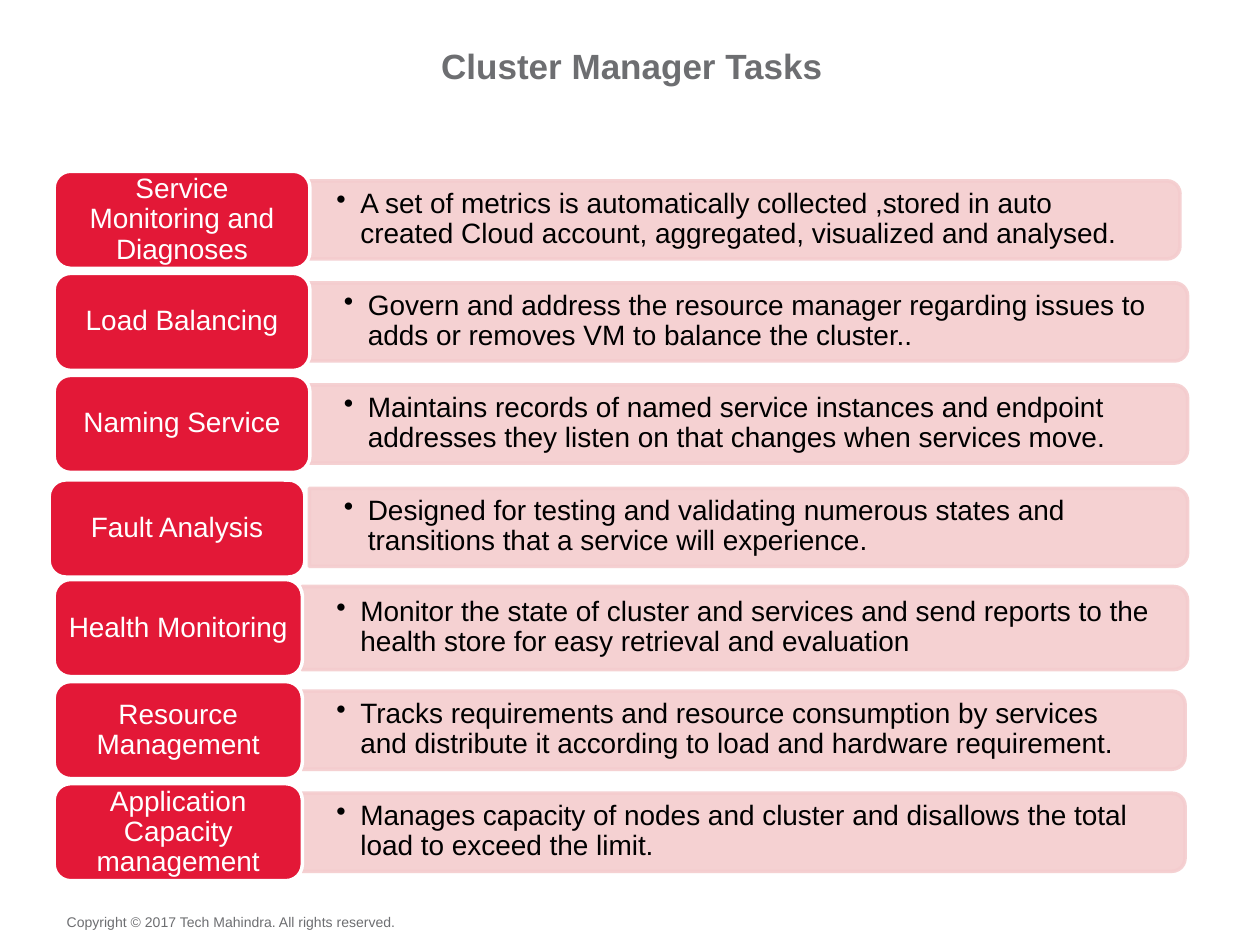
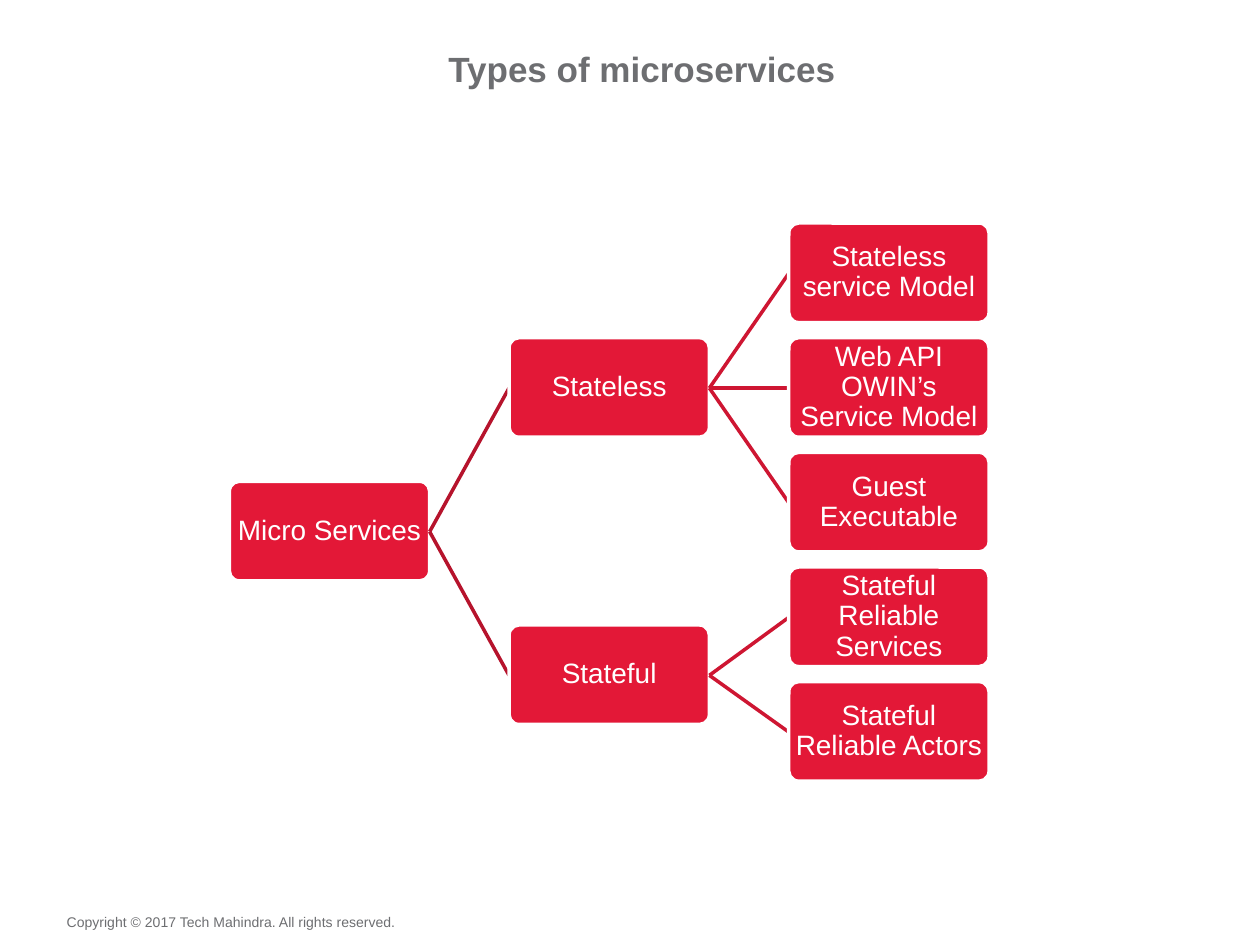
from dataclasses import dataclass

from lxml.etree import SubElement
from pptx import Presentation
from pptx.dml.color import RGBColor
from pptx.enum.shapes import MSO_CONNECTOR as CONN, MSO_SHAPE as SHAPE
from pptx.enum.text import MSO_ANCHOR as ANCHOR, MSO_AUTO_SIZE as AUTO, PP_ALIGN as ALIGN
from pptx.oxml.ns import qn
from pptx.util import Pt

PX = 9144


@dataclass(frozen=True)
class Theme:
    font: str = "Arial"
    grey: str = "6D6E71"
    red: str = "E31837"
    pink: str = "F4CCCE"
    white: str = "FFFFFF"
    black: str = "000000"
    links: tuple = ("B6132C", "CE1632")
    title: int = 20
    body: int = 16
    small: int = 8
    line: int = 2
    opacity: int = 90


class Deck:
    """Draws styled elements on the current slide, with lengths in px at 100 to the inch."""

    def __init__(self, theme):
        self.theme = theme
        self.prs = Presentation()
        self.prs.slide_width, self.prs.slide_height = 1000 * PX, 750 * PX

    def new_slide(self, title, x, y):
        self.slide = self.prs.slides.add_slide(self.prs.slide_layouts[5])
        t = self.theme
        self.text_box(53, 725, 266, 13, "Copyright © 2017 Tech Mahindra. All rights reserved.",
                      t.small, t.grey, wrap=False)
        s = self.slide.shapes.title
        s.left, s.top, s.width, s.height = (v * PX for v in (x, y, 899, 34))
        self.set_text(s, title, t.title, t.grey, align=ALIGN.CENTER, bold=True)

    def set_text(self, s, text, size, color, pad=(0, 0), align=ALIGN.LEFT,
                 anchor=ANCHOR.TOP, wrap=True, bold=False, spacing=1.0, bullet=False):
        tf = s.text_frame
        tf.text = text
        tf.word_wrap, tf.auto_size, tf.vertical_anchor = wrap, AUTO.NONE, anchor
        tf.margin_left = tf.margin_right = pad[0] * PX
        tf.margin_top = tf.margin_bottom = pad[1] * PX
        p = tf.paragraphs[0]
        if bullet:
            pPr = p._p.get_or_add_pPr()
            pPr.set("marL", str(19 * PX))
            pPr.set("indent", str(-19 * PX))
            SubElement(pPr, qn("a:buChar")).set("char", "•")
        p.alignment, p.line_spacing = align, spacing
        font = p.runs[0].font
        font.name, font.size, font.bold = self.theme.font, Pt(size), bold
        font.color.rgb = RGBColor.from_string(color)

    def text_box(self, x, y, w, h, text, size, color, **style):
        s = self.slide.shapes.add_textbox(x * PX, y * PX, w * PX, h * PX)
        self.set_text(s, text, size, color, **style)

    def shape(self, kind, x, y, w, h, fill, line):
        s = self.slide.shapes.add_shape(kind, x * PX, y * PX, w * PX, h * PX)
        s.shadow.inherit = False
        s.fill.solid()
        s.fill.fore_color.rgb = RGBColor.from_string(fill)
        s.line.color.rgb = RGBColor.from_string(line)
        s.line.width = Pt(self.theme.line)
        return s

    def label(self, x, y, w, h, text, pad, corner=0.17):
        t = self.theme
        s = self.shape(SHAPE.ROUNDED_RECTANGLE, x, y, w, h, t.red, t.white)
        s.adjustments[0] = corner
        self.set_text(s, text, t.body, t.white, pad=pad, align=ALIGN.CENTER,
                      anchor=ANCHOR.MIDDLE, spacing=0.9)

    def bar(self, x, y, w, h, text):
        t = self.theme
        shift = (w - h) // 2
        s = self.shape(SHAPE.ROUND_2_SAME_RECTANGLE, x + shift, y - shift, h, w, t.pink, t.pink)
        s.rotation = 90
        for clr in s._element.spPr.iter(qn("a:srgbClr")):
            SubElement(clr, qn("a:alpha")).set("val", str(t.opacity * 1000))
        self.text_box(x, y, w - 3, h, text, t.body, t.black, pad=(27, 5),
                      anchor=ANCHOR.MIDDLE, spacing=0.9, bullet=True)

    def link(self, x1, y1, x2, y2, color):
        s = self.slide.shapes.add_connector(CONN.STRAIGHT, x1 * PX, y1 * PX, x2 * PX, y2 * PX)
        s.line.color.rgb = RGBColor.from_string(color)
        s.line.width = Pt(self.theme.line)
        SubElement(s._element.spPr, qn("a:effectLst"))


TASKS = [
    ("Service Monitoring and Diagnoses", (43, 136, 203), (240, 143, 697, 62),
     "A set of metrics is automatically collected ,stored in auto created Cloud account, "
     "aggregated, visualized and analysed."),
    ("Load Balancing", (43, 217, 203), (246, 224, 697, 62),
     "Govern and address the resource manager regarding issues to adds or removes VM "
     "to balance the cluster.."),
    ("Naming Service", (43, 298, 203), (246, 305, 697, 62),
     "Maintains records of named service instances and endpoint addresses they listen on "
     "that changes when services move."),
    ("Fault Analysis", (39, 381, 203), (246, 387, 697, 62),
     "Designed for testing and validating numerous states and transitions that a service "
     "will experience."),
    ("Health Monitoring", (43, 460, 197), (240, 465, 703, 66),
     "Monitor the state of cluster and services and send reports to the health store for "
     "easy retrieval and evaluation"),
    ("Resource Management", (43, 541, 197), (240, 548, 701, 62),
     "Tracks requirements and resource consumption by services and distribute it according "
     "to load and hardware requirement."),
    ("Application Capacity management", (43, 622, 197), (240, 629, 701, 62),
     "Manages capacity of nodes and cluster and disallows the total load to exceed the limit."),
]

SERVICE_TYPES = {
    "Stateless": ["Stateless service Model", "Web API OWIN’s Service Model", "Guest Executable"],
    "Stateful": ["Stateful Reliable Services", "Stateful Reliable Actors"],
}
COLUMNS = (182, 404, 626)
NODE_W, NODE_H = 159, 79
LEAF_TOP, LEAF_STEP = 177, 91


def middle(tops):
    return (tops[0] + tops[-1] + 1) // 2


def draw_tasks(deck):
    deck.new_slide("Cluster Manager Tasks", 52, 35)
    for name, (x, y, w), bar, text in TASKS:
        deck.bar(*bar, text)
        deck.label(x, y, w, 77, name, (7, 3))


def draw_family(deck, level, name, top, children=()):
    deck.label(COLUMNS[level], top, NODE_W, NODE_H, name, (1, 1), 0.1)
    for child in children:
        deck.link(COLUMNS[level] + NODE_W, top + NODE_H // 2 + 1,
                  COLUMNS[level + 1], child[1] + NODE_H // 2 + 1, deck.theme.links[level])
        draw_family(deck, level + 1, *child)


def draw_types(deck):
    deck.new_slide("Types of microservices", 60, 38)
    branches, top = [], LEAF_TOP
    for name, models in SERVICE_TYPES.items():
        tops = [top + i * LEAF_STEP for i in range(len(models))]
        branches.append((name, middle(tops), list(zip(models, tops))))
        top = tops[-1] + LEAF_STEP
    draw_family(deck, 0, "Micro Services", middle([b[1] for b in branches]), branches)


def main():
    deck = Deck(Theme())
    draw_tasks(deck)
    draw_types(deck)
    deck.prs.save("out.pptx")


if __name__ == "__main__":
    main()
